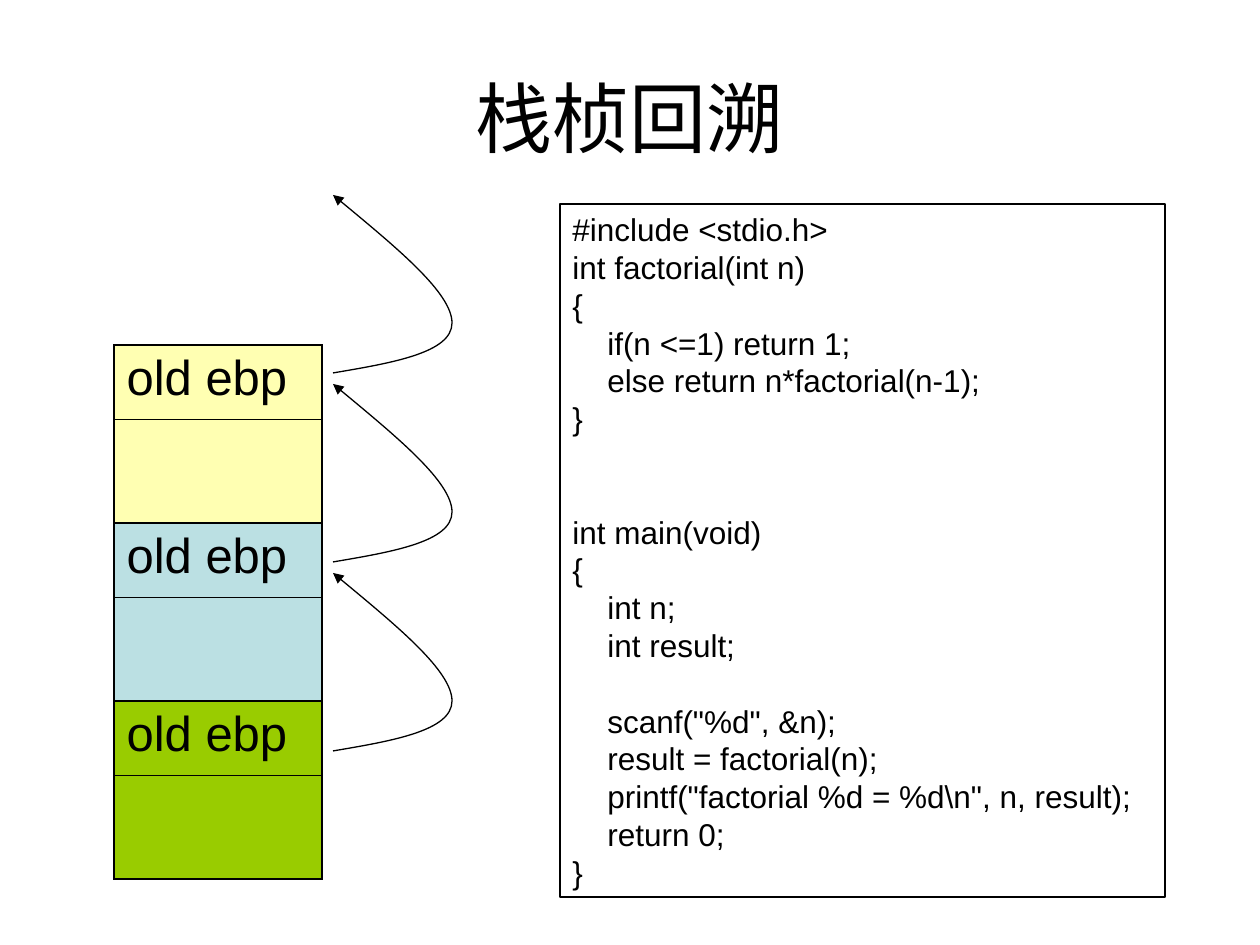
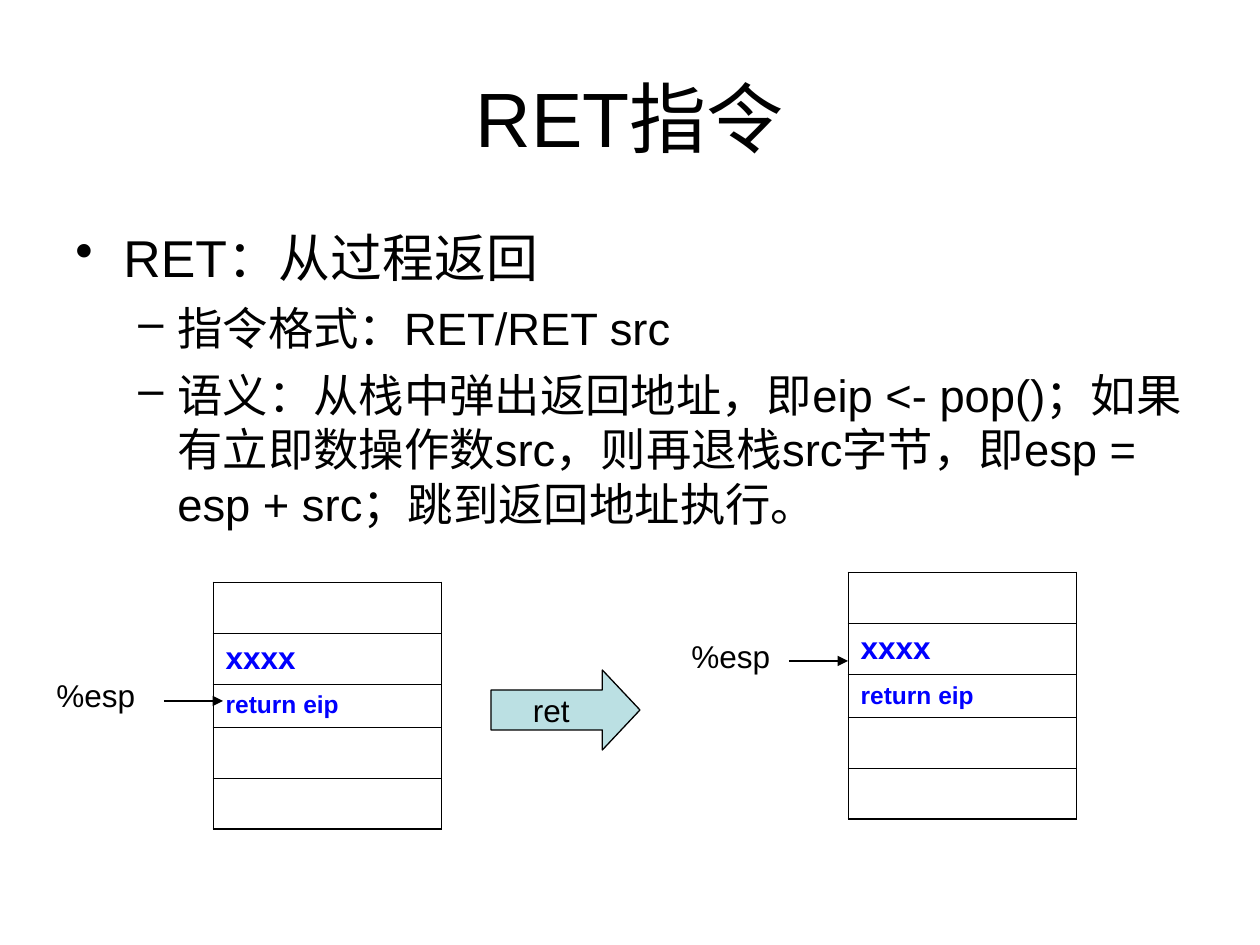
from dataclasses import dataclass

from lxml.etree import SubElement
from pptx import Presentation
from pptx.dml.color import RGBColor
from pptx.enum.shapes import MSO_CONNECTOR, MSO_SHAPE
from pptx.enum.text import MSO_ANCHOR, PP_ALIGN
from pptx.oxml.ns import qn
from pptx.util import Emu, Pt

PX = 914400 / 126


def px(n):
    return Emu(round(n * PX))


@dataclass(frozen=True)
class Theme:
    font: str = "Arial"
    black: str = "000000"
    blue: str = "0000FF"
    yellow: str = "FFFF66"
    teal: str = "BBE0E3"
    green: str = "99CC00"
    title: float = 44
    bullet: float = 29.6
    sub_bullet: float = 25.9
    cell: float = 28
    text: float = 18
    small: float = 14
    code_pitch: float = 21.6
    line: float = 0.75
    thin: float = 0.45
    thick: float = 1.08


T = Theme()

CODE = r"""#include <stdio.h>
int factorial(int n)
{
    if(n <=1) return 1;
    else return n*factorial(n-1);
}


int main(void)
{
    int n;
    int result;

    scanf("%d", &n);
    result = factorial(n);
    printf("factorial %d = %d\n", n, result);
    return 0;
}"""

RET_POINTS = [
    (0, "RET：从过程返回"),
    (1, "指令格式：RET/RET src"),
    (1, "语义：从栈中弹出返回地址，即eip <- pop()；如果有立即数操作数src，"
        "则再退栈src字节，即esp = esp + src；跳到返回地址执行。"),
]


class Deck:
    def __init__(self):
        self.prs = Presentation()
        self.prs.slide_width, self.prs.slide_height = px(1260), px(945)

    def slide(self, title):
        self.s = self.prs.slides.add_slide(self.prs.slide_layouts[6])
        self.text(title, 63, 38, 1134, 157, T.title,
                  align=PP_ALIGN.CENTER, anchor=MSO_ANCHOR.MIDDLE)

    def run(self, p, text, size, color=T.black, **fmt):
        r = p.add_run()
        r.text = text
        for name, value in {"name": T.font, "size": Pt(size), **fmt}.items():
            setattr(r.font, name, value)
        r.font.color.rgb = RGBColor.from_string(color)

    def frame(self, sp, **fmt):
        tf = sp.text_frame
        for name, value in {"word_wrap": True, **fmt}.items():
            setattr(tf, name, value)
        return tf

    def text(self, text, x, y, w, h, size, align=PP_ALIGN.LEFT, anchor=MSO_ANCHOR.TOP):
        sp = self.s.shapes.add_textbox(px(x), px(y), px(w), px(h))
        p = self.frame(sp, vertical_anchor=anchor).paragraphs[0]
        p.alignment = align
        self.run(p, text, size)

    def shape(self, kind, x, y, w, h, fill=None):
        sp = self.s.shapes.add_shape(kind, px(x), px(y), px(w), px(h))
        self.outline(sp, fill)
        return sp

    def outline(self, sp, fill=None):
        sp.shadow.inherit = False
        if fill:
            sp.fill.solid()
            sp.fill.fore_color.rgb = RGBColor.from_string(fill)
        else:
            sp.fill.background()
        self.stroke(sp)

    def stroke(self, sp, arrow=False):
        sp.line.color.rgb = RGBColor.from_string(T.black)
        sp.line.width = Pt(T.line)
        if arrow:
            ln = sp.element.find(".//" + qn("a:ln"))
            SubElement(ln, qn("a:tailEnd"), type="triangle")

    def code(self, source, x, y, w, h):
        """Boxed listing; empty source lines become space before the next line."""
        sp = self.shape(MSO_SHAPE.RECTANGLE, x, y, w, h)
        tf = self.frame(sp, vertical_anchor=MSO_ANCHOR.TOP)
        p, gap = tf.paragraphs[0], 0
        for i, line in enumerate(source.split("\n")):
            if not line:
                gap += T.code_pitch
                continue
            if i:
                p = tf.add_paragraph()
            p.alignment = PP_ALIGN.LEFT
            p.line_spacing = Pt(T.code_pitch)
            if gap:
                p.space_before = Pt(gap)
            self.run(p, line, T.text)
            gap = 0

    def bullets(self, points, x, y, w, h):
        levels = [("•", 48, 48, T.bullet), ("–", 102, 39, T.sub_bullet)]
        tf = self.frame(self.s.shapes.add_textbox(px(x), px(y), px(w), px(h)))
        for i, (level, text) in enumerate(points):
            p = tf.add_paragraph() if i else tf.paragraphs[0]
            mark, left, hang, size = levels[level]
            p.level = level
            if i:
                p.space_before = Pt(7)
            pPr = p._p.get_or_add_pPr()
            pPr.set("marL", str(px(left)))
            pPr.set("indent", str(-px(hang)))
            SubElement(SubElement(pPr, qn("a:buClr")), qn("a:srgbClr"), val=T.black)
            SubElement(pPr, qn("a:buChar"), char=mark)
            self.run(p, text, size)

    def stack(self, x, y, w, heights):
        """One-column table without fills; returns its cells from top to bottom."""
        frame = self.s.shapes.add_table(len(heights), 1, px(x), px(y), px(w), px(sum(heights)))
        table = frame.table
        table.first_row = table.horz_banding = False
        for row, height in zip(table.rows, heights):
            row.height = px(height)
        return [row.cells[0] for row in table.rows]

    def cell(self, cell, widths, fill=None, alpha=100):
        """Set the border widths (left, right, top, bottom), then the fill."""
        tcPr = cell._tc.get_or_add_tcPr()
        for side, width in zip("LRTB", widths):
            ln = SubElement(tcPr, qn("a:ln" + side), w=str(Pt(width)))
            SubElement(SubElement(ln, qn("a:solidFill")), qn("a:srgbClr"), val=T.black)
        if not fill:
            cell.fill.background()
            return
        cell.fill.solid()
        cell.fill.fore_color.rgb = RGBColor.from_string(fill)
        if alpha < 100:
            color = tcPr.find(qn("a:solidFill")).find(qn("a:srgbClr"))
            SubElement(color, qn("a:alpha"), val=str(alpha * 1000))

    def arrow(self, x1, x2, y):
        c = self.s.shapes.add_connector(MSO_CONNECTOR.STRAIGHT, px(x1), px(y), px(x2), px(y))
        self.stroke(c, arrow=True)
        SubElement(c.element.spPr, qn("a:effectLst"))

    def curve(self, x, y, points):
        """Arrow along cubic segments: a start, then three points per segment."""
        pts = [(px(x + dx), px(y + dy)) for dx, dy in points]
        builder = self.s.shapes.build_freeform(*pts[0])
        builder.add_line_segments(pts[1:], close=False)
        sp = builder.convert_to_shape()
        outline = sp.element.find(".//" + qn("a:path"))
        lines = outline.findall(qn("a:lnTo"))
        for i in range(0, len(lines), 3):
            bezier = SubElement(outline, qn("a:cubicBezTo"))
            for line in lines[i:i + 3]:
                bezier.append(line[0])
                outline.remove(line)
        self.outline(sp)
        SubElement(sp.element.find(".//" + qn("a:ln")), qn("a:tailEnd"), type="triangle")


def backtrace_slide(d):
    d.slide("栈桢回溯")
    cells = d.stack(114, 345, 208, [74, 104] * 3)
    frames = [(T.yellow, 50), (T.teal, 100), (T.green, 100)]
    for i, (fill, alpha) in enumerate(frames):
        saved, rest = cells[2 * i:2 * i + 2]
        d.cell(saved, (T.thick, T.thick, T.thick, T.thin), fill, alpha)
        d.cell(rest, (T.thick, T.thick, T.thin, T.thick), fill, alpha)
        d.run(saved.text_frame.paragraphs[0], "old ebp", T.cell)
        d.curve(333, 195 + 189 * i, [(0, 178), (59, 168), (119, 158), (119, 128),
                                     (119, 98), (59, 49), (0, 0)])
    d.code(CODE, 560, 204, 605, 693)


def esp_stack(d, x, y, label_x, label_y, arrow_x, arrow_y):
    cells = d.stack(x, y, 228, [51, 51, 43, 51, 51])
    for cell in cells:
        bottom = T.thick if cell is cells[-1] else T.thin
        d.cell(cell, (T.thin, T.thin, T.thin, bottom))
    for cell, text, size in zip(cells[1:3], ("xxxx", "return eip"), (T.text, T.small)):
        cell.vertical_anchor = MSO_ANCHOR.MIDDLE
        d.run(cell.text_frame.paragraphs[0], text, size, T.blue, bold=True)
    d.text("%esp", label_x, label_y, 110, 50, T.text)
    d.arrow(arrow_x, arrow_x + 59, arrow_y)


def ret_slide(d):
    d.slide("RET指令")
    d.bullets(RET_POINTS, 63, 220, 1134, 352)
    esp_stack(d, 213, 582, 44, 670, 164, 701)
    esp_stack(d, 848, 572, 679, 631, 789, 661)
    sp = d.shape(MSO_SHAPE.RIGHT_ARROW, 491, 670, 149, 80, T.teal)
    sp.adjustments[0], sp.adjustments[1] = 0.5, 0.47
    tf = d.frame(sp, word_wrap=False, vertical_anchor=MSO_ANCHOR.MIDDLE, margin_right=px(22))
    tf.paragraphs[0].alignment = PP_ALIGN.CENTER
    d.run(tf.paragraphs[0], "ret", T.text)


def main():
    d = Deck()
    backtrace_slide(d)
    ret_slide(d)
    d.prs.save("out.pptx")


if __name__ == "__main__":
    main()
